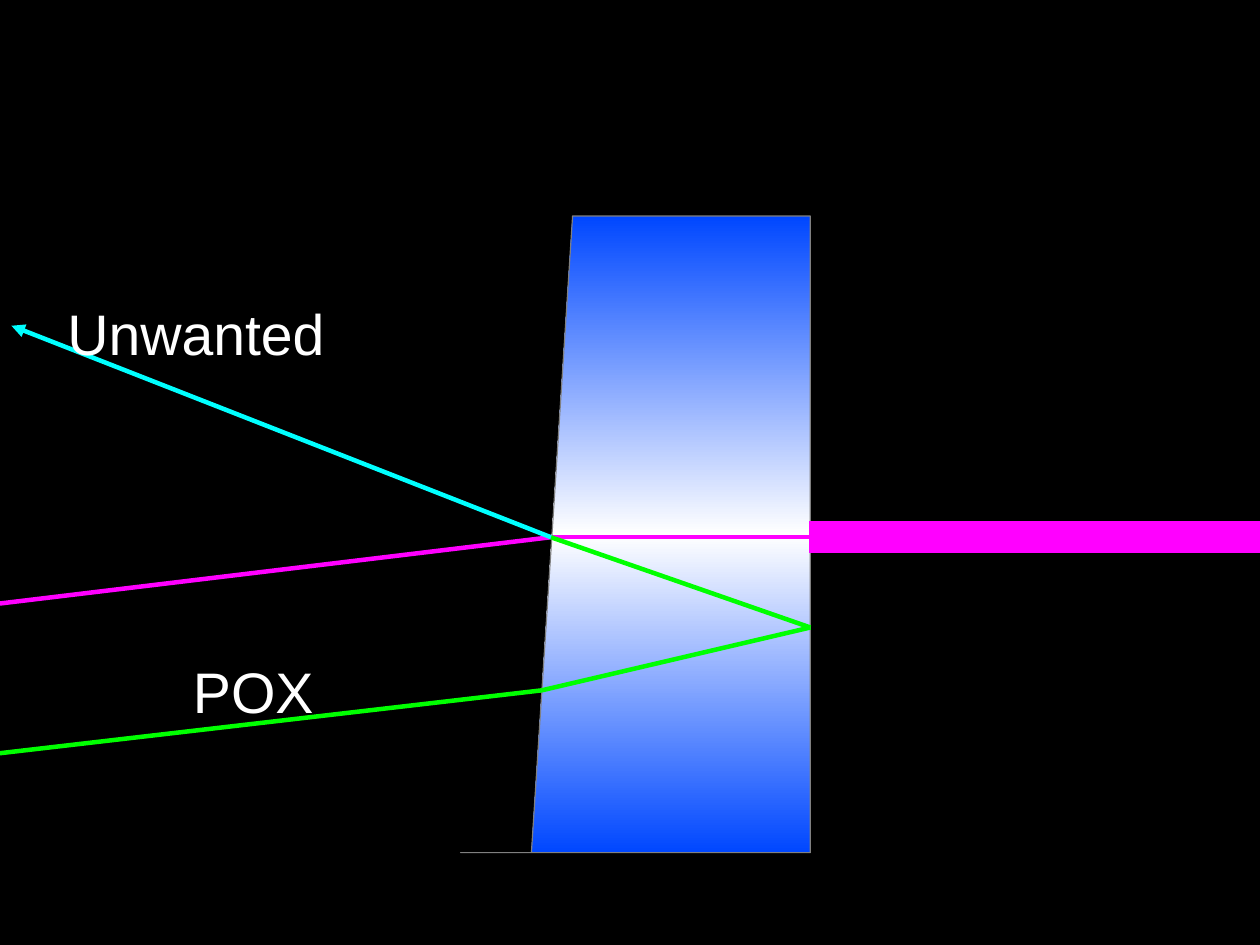
from copy import deepcopy

from lxml import etree
from pptx import Presentation
from pptx.dml.color import RGBColor
from pptx.enum import shapes, text
from pptx.oxml.ns import qn
from pptx.util import Inches, Pt

CM_PER_INCH = 2.54
SLIDE_WIDTH = 28 / CM_PER_INCH
SLIDE_HEIGHT = 21 / CM_PER_INCH


class Theme:
    background = RGBColor(0, 0, 0)
    label = RGBColor(255, 255, 255)
    glass_edge = RGBColor(0x80, 0x80, 0x80)
    glass_stops = [
        (0, RGBColor(0, 0x47, 255)),
        (0.5, RGBColor(255, 255, 255)),
        (1, RGBColor(0, 0x47, 255)),
    ]
    main_beam = RGBColor(255, 0, 255)
    pickoff = RGBColor(0, 255, 0)
    unwanted = RGBColor(0, 255, 255)
    font = "Arial"
    label_size = Pt(36)
    ray_width = Pt(2.83)
    beam_width = Pt(19.84)


class OpticsSlide:
    def __init__(self, prs, theme):
        self.theme = theme
        self.slide = prs.slides.add_slide(prs.slide_layouts[6])
        fill = self.slide.background.fill
        fill.solid()
        fill.fore_color.rgb = theme.background

    def glass(self, points):
        """Draw a closed outline with the vertical three-stop gradient."""
        corners = [(Inches(x), Inches(y)) for x, y in points]
        builder = self.slide.shapes.build_freeform(*corners[0], scale=1.0)
        builder.add_line_segments(corners[1:], close=True)
        sp = builder.convert_to_shape()
        sp.shadow.inherit = False
        sp.fill.gradient()
        sp.fill.gradient_angle = 90
        stop_list = next(sp._element.spPr.iter(qn("a:gsLst")))
        stop_list.append(deepcopy(stop_list[-1]))
        for stop, (position, color) in zip(sp.fill.gradient_stops, self.theme.glass_stops):
            stop.position = position
            stop.color.rgb = color
        sp.line.color.rgb = self.theme.glass_edge
        sp.line.width = Pt(0)

    def ray(self, start, end, color, width=None, arrow=False):
        ends = [Inches(v) for v in (*start, *end)]
        line = self.slide.shapes.add_connector(shapes.MSO_CONNECTOR.STRAIGHT, *ends)
        line.line.color.rgb = color
        line.line.width = width or self.theme.ray_width
        if arrow:
            etree.SubElement(line.line._get_or_add_ln(), qn("a:tailEnd"), type="triangle")
        etree.SubElement(line._element.spPr, qn("a:effectLst"))

    def label(self, words, left, top, width, height):
        box = self.slide.shapes.add_textbox(*map(Inches, (left, top, width, height)))
        tf = box.text_frame
        tf.word_wrap = False
        tf.auto_size = text.MSO_AUTO_SIZE.SHAPE_TO_FIT_TEXT
        p = tf.paragraphs[0]
        p.text = words
        p.font.name = self.theme.font
        p.font.size = self.theme.label_size
        p.font.color.rgb = self.theme.label


def main():
    prs = Presentation()
    prs.slide_width, prs.slide_height = Inches(SLIDE_WIDTH), Inches(SLIDE_HEIGHT)
    theme = Theme()
    s = OpticsSlide(prs, theme)

    front_hit = (4.82, 4.7)
    back_hit = (7.08, 4.7)
    back_reflection = (7.09, 5.49)
    front_exit = (4.74, 6.04)

    s.glass([(5.01, 1.89), (7.09, 1.89), (7.09, 7.46), (4.03, 7.46), (4.65, 7.46)])
    s.ray(front_hit, back_hit, theme.main_beam)
    s.ray(front_hit, (0, 5.28), theme.main_beam)
    s.ray(front_hit, back_reflection, theme.pickoff)
    s.ray(front_exit, back_reflection, theme.pickoff)
    s.ray(front_exit, (0, 6.59), theme.pickoff)
    s.ray((SLIDE_WIDTH, 4.7), back_hit, theme.main_beam, theme.beam_width)
    s.label("POX", 1.59, 5.69, 1.27, 0.66)
    s.ray(front_hit, (0.1, 2.85), theme.unwanted, arrow=True)
    s.label("Unwanted", 0.49, 2.56, 2.45, 0.66)

    prs.save("out.pptx")


if __name__ == "__main__":
    main()
